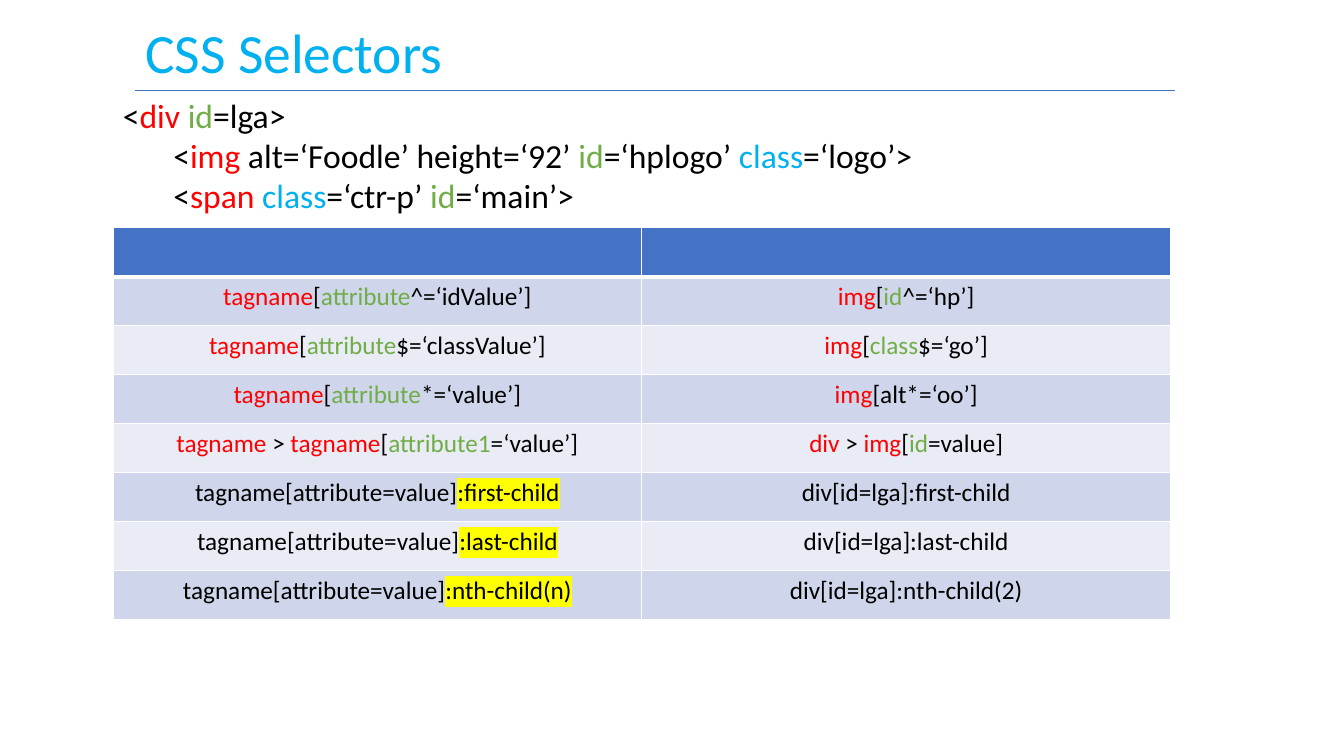
from lxml.etree import SubElement
from pptx import Presentation
from pptx.dml.color import RGBColor
from pptx.enum.shapes import MSO_CONNECTOR
from pptx.enum.text import MSO_ANCHOR, PP_ALIGN
from pptx.oxml import parse_xml
from pptx.oxml.ns import nsdecls, qn
from pptx.util import Inches, Pt

FONT = "Calibri"
BLACK = RGBColor(0x00, 0x00, 0x00)
WHITE = RGBColor(0xFF, 0xFF, 0xFF)
RED = RGBColor(0xFF, 0x00, 0x00)
GREEN = RGBColor(0x70, 0xAD, 0x47)
SKY = RGBColor(0x00, 0xB0, 0xF0)
BLUE = RGBColor(0x44, 0x72, 0xC4)
YELLOW = RGBColor(0xFF, 0xFF, 0x00)
BANDS = [RGBColor(0xCF, 0xD5, 0xEA), RGBColor(0xE9, 0xEB, 0xF5)]


def add_spans(para, spans, size):
    """Add (text, colour) runs; yellow means black text on a yellow highlight."""
    for text, color in spans:
        span = para.add_run()
        span.text = text
        span.font.name = FONT
        span.font.size = Pt(size)
        span.font.color.rgb = BLACK if color == YELLOW else color
        if color == YELLOW:
            highlight = parse_xml(
                f'<a:highlight {nsdecls("a")}><a:srgbClr val="{YELLOW}"/></a:highlight>')
            span._r.get_or_add_rPr().find(qn("a:latin")).addprevious(highlight)


def set_border(cell, index, side, width):
    line = parse_xml(
        f'<a:{side} {nsdecls("a")} w="{Pt(width)}"><a:solidFill>'
        f'<a:srgbClr val="{WHITE}"/></a:solidFill></a:{side}>')
    cell._tc.get_or_add_tcPr().insert(index, line)


deck = Presentation()
deck.slide_width, deck.slide_height = Inches(13.33), Inches(7.5)
page = deck.slides.add_slide(deck.slide_layouts[6])

# Title rule
rule = page.shapes.add_connector(
    MSO_CONNECTOR.STRAIGHT, Inches(1.34), Inches(0.9), Inches(11.65), Inches(0.9))
rule.line.color.rgb = BLUE
rule.line.width = Pt(0.5)
SubElement(rule._element.spPr, qn("a:effectLst"))

# Selector table: syntax on the left, example on the right
tag, bracket, attribute = ("tagname", RED), ("[", BLACK), ("attribute", GREEN)
img = ("img", RED)
any_tag = ("tagname[attribute=value]", BLACK)
selectors = [
    ([tag, bracket, attribute, ("^=‘idValue’]", BLACK)],
     [img, bracket, ("id", GREEN), ("^=‘hp’]", BLACK)]),
    ([tag, bracket, attribute, ("$=‘classValue’]", BLACK)],
     [img, bracket, ("class", GREEN), ("$=‘go’]", BLACK)]),
    ([tag, bracket, attribute, ("*=‘value’]", BLACK)],
     [img, ("[alt*=‘oo’]", BLACK)]),
    ([("tagname ", RED), (">", BLACK), (" tagname", RED), bracket,
      ("attribute1", GREEN), ("=‘value’]", BLACK)],
     [("div", RED), (" > ", BLACK), img, bracket, ("id", GREEN), ("=value]", BLACK)]),
    ([any_tag, (":first-child", YELLOW)], [("div[id=lga]:first-child", BLACK)]),
    ([any_tag, (":last-child", YELLOW)], [("div[id=lga]:last-child", BLACK)]),
    ([any_tag, (":nth-child(n)", YELLOW)], [("div[id=lga]:nth-child(2)", BLACK)]),
]
rows = [([], [])] + selectors
table = page.shapes.add_table(
    len(rows), 2, Inches(1.12), Inches(2.26), Inches(10.49), Inches(3.89)).table
for r, row in enumerate(rows):
    for c, spans in enumerate(row):
        cell = table.cell(r, c)
        cell.fill.solid()
        cell.fill.fore_color.rgb = BANDS[(r - 1) % 2] if r else BLUE
        widths = {"lnL": 1, "lnR": 1, "lnT": 3 if r == 1 else 1, "lnB": 1 if r else 3}
        for index, (side, width) in enumerate(widths.items()):
            set_border(cell, index, side, width)
        para = cell.text_frame.paragraphs[0]
        para.alignment = PP_ALIGN.CENTER
        add_spans(para, spans, 18)

# Title
title = page.shapes.add_textbox(Inches(1.34), Inches(0.27), Inches(10.31), Inches(0.56))
title.text_frame.word_wrap = True
title.text_frame.vertical_anchor = MSO_ANCHOR.MIDDLE
title_para = title.text_frame.paragraphs[0]
title_para.line_spacing = 0.9
add_spans(title_para, [("CSS Selectors", SKY)], 39.6)

# Sample markup
markup = [
    [("<", BLACK), ("div ", RED), ("id", GREEN), ("=lga>", BLACK)],
    [("\t<", BLACK), img, (" alt=‘Foodle’ height=‘92’ ", BLACK), ("id", GREEN),
     ("=‘hplogo’ ", BLACK), ("class", SKY), ("=‘logo’>", BLACK)],
    [("\t<", BLACK), ("span ", RED), ("class", SKY), ("=‘ctr-p’ ", BLACK),
     ("id", GREEN), ("=‘main’>", BLACK)],
]
sample = page.shapes.add_textbox(Inches(1.12), Inches(0.89), Inches(9.89), Inches(1.62))
frame = sample.text_frame
frame.word_wrap = True
for number, spans in enumerate(markup):
    para = frame.add_paragraph() if number else frame.paragraphs[0]
    add_spans(para, spans, 24)

deck.save("out.pptx")
